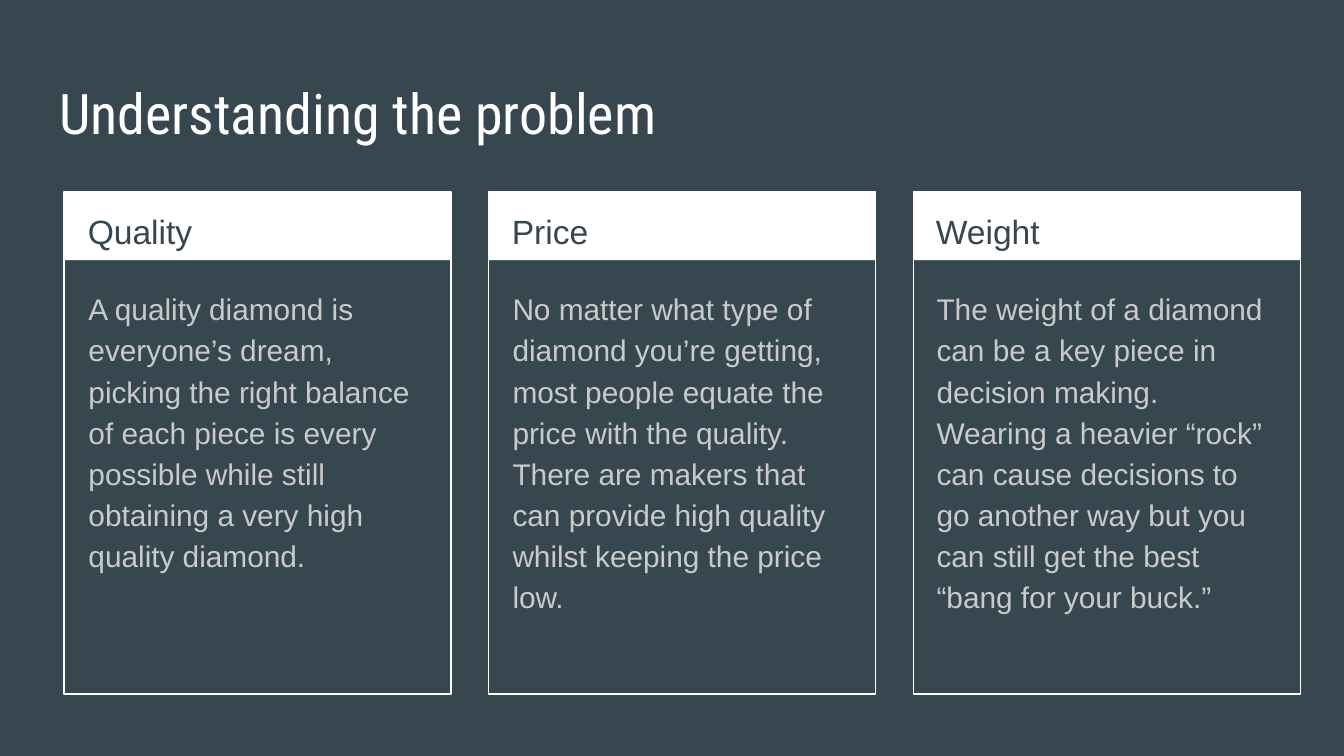
from dataclasses import dataclass

from pptx import Presentation
from pptx.dml.color import RGBColor
from pptx.enum.shapes import MSO_SHAPE
from pptx.enum.text import MSO_ANCHOR, MSO_AUTO_SIZE, PP_ALIGN
from pptx.util import Pt

RECTANGLE = MSO_SHAPE.RECTANGLE
TOP = MSO_ANCHOR.TOP
NO_FIT = MSO_AUTO_SIZE.NONE
LEFT = PP_ALIGN.LEFT

PX = 4572
SLATE = "37474F"
WHITE = "FFFFFF"
GREY = "CACACA"

CARD_LEFT, CARD_TOP = 95, 286
CARD_WIDTH, CARD_HEIGHT = 576, 747
HEADER_HEIGHT = 101
CARD_PITCH, TEXT_PITCH = 632, 631


@dataclass(frozen=True)
class Box:
    left: int
    top: int
    width: int
    height: int

    def emu(self) -> tuple[int, ...]:
        return tuple(n * PX for n in (self.left, self.top, self.width, self.height))


@dataclass(frozen=True)
class TextStyle:
    font: str
    size: int
    colour: str
    line_spacing: float = 1.0
    space_after: int = 0


@dataclass(frozen=True)
class Card:
    heading: str
    body: str


TITLE_STYLE = TextStyle("Roboto Condensed", 30, WHITE)
HEADING_STYLE = TextStyle("Arial", 18, SLATE, 1.15)
BODY_STYLE = TextStyle("Arial", 16, GREY, 1.15, 16)

CARDS = [
    Card(
        "Quality",
        "A quality diamond is everyone’s dream, picking the right balance of each "
        "piece is every possible while still obtaining a very high quality diamond.",
    ),
    Card(
        "Price",
        "No matter what type of diamond you’re getting, most people equate the "
        "price with the quality. There are makers that can provide high quality "
        "whilst keeping the price low.",
    ),
    Card(
        "Weight",
        "The weight of a diamond can be a key piece in decision making. Wearing a "
        "heavier “rock” can cause decisions to go another way but you can still get "
        "the best “bang for your buck.”",
    ),
]


def rgb(colour: str) -> RGBColor:
    return RGBColor.from_string(colour)


def set_all(target, values: dict) -> None:
    for name, value in values.items():
        setattr(target, name, value)


def write_text(holder, text: str, style: TextStyle) -> None:
    frame = holder.text_frame
    margins = {f"margin_{side}": 20 * PX for side in ("left", "top", "right", "bottom")}
    set_all(frame, {"word_wrap": True, "auto_size": NO_FIT, "vertical_anchor": TOP, **margins})
    paragraph = frame.paragraphs[0]
    set_all(paragraph, {
        "alignment": LEFT,
        "line_spacing": style.line_spacing,
        "space_before": Pt(0),
        "space_after": Pt(style.space_after),
    })
    run = paragraph.add_run()
    run.text = text
    set_all(run.font, {"name": style.font, "size": Pt(style.size)})
    run.font.color.rgb = rgb(style.colour)


def draw_panel(group, box: Box, filled: bool) -> None:
    panel = group.shapes.add_shape(RECTANGLE, *box.emu())
    panel.shadow.inherit = False
    if filled:
        panel.fill.solid()
        panel.fill.fore_color.rgb = rgb(WHITE)
        panel.line.fill.background()
    else:
        panel.fill.background()
        panel.line.color.rgb = rgb(WHITE)
        panel.line.width = Pt(0.75)


def draw_card(slide, card: Card, index: int) -> None:
    left = CARD_LEFT + index * CARD_PITCH
    text_shift = index * TEXT_PITCH
    panels = slide.shapes.add_group_shape()
    draw_panel(panels, Box(left, CARD_TOP, CARD_WIDTH, HEADER_HEIGHT), True)
    draw_panel(panels, Box(left, CARD_TOP, CARD_WIDTH, CARD_HEIGHT), False)
    heading = slide.shapes.add_textbox(*Box(111 + text_shift, 285, 546, 100).emu())
    write_text(heading, card.heading, HEADING_STYLE)
    body = slide.shapes.add_textbox(*Box(112 + text_shift, 405, 542, 612).emu())
    write_text(body, card.body, BODY_STYLE)


def main() -> None:
    deck = Presentation()
    set_all(deck, {"slide_width": 2000 * PX, "slide_height": 1125 * PX})
    slide = deck.slides.add_slide(deck.slide_layouts[5])
    slide.background.fill.solid()
    slide.background.fill.fore_color.rgb = rgb(SLATE)

    title = slide.shapes.title
    set_all(title, dict(zip(("left", "top", "width", "height"), Box(68, 97, 1864, 126).emu())))
    write_text(title, "Understanding the problem", TITLE_STYLE)

    for index, card in enumerate(CARDS):
        draw_card(slide, card, index)

    deck.save("out.pptx")


if __name__ == "__main__":
    main()
